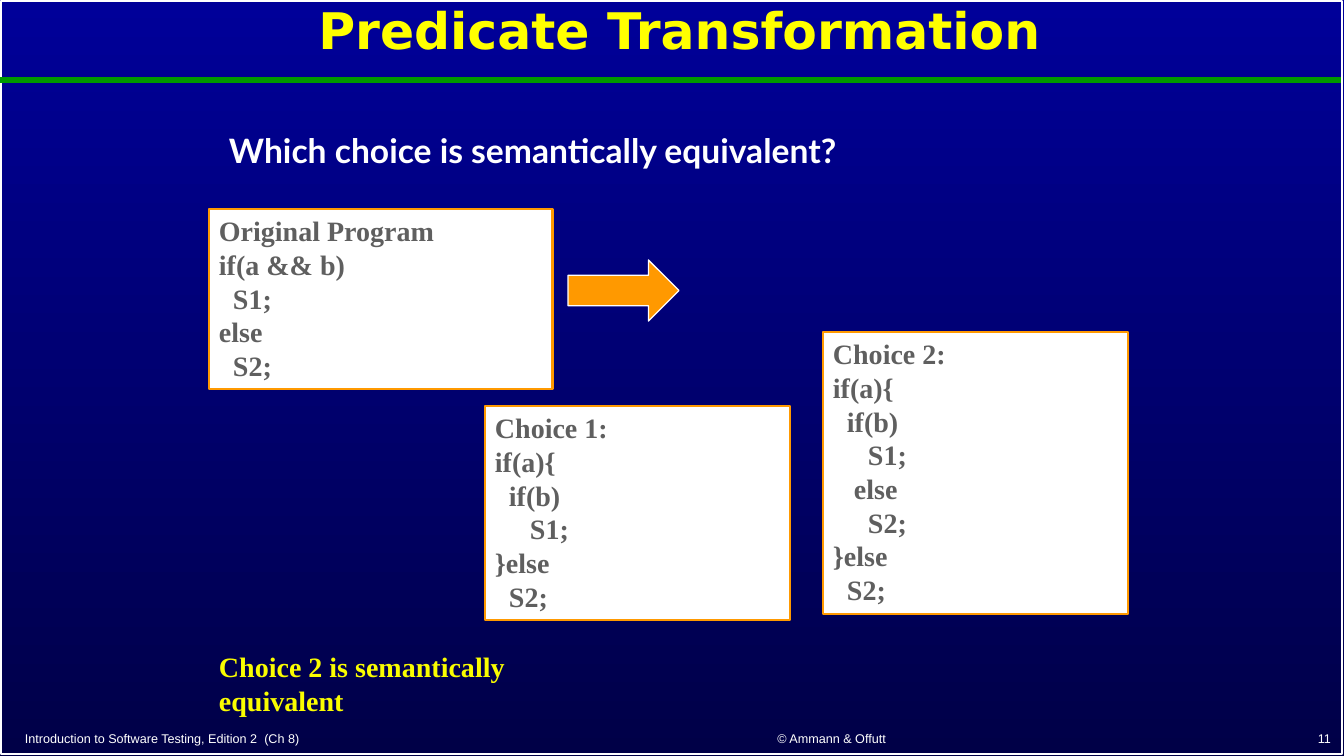
import pptx
import pptx.util
import pptx.dml.color
import pptx.enum.shapes
import pptx.enum.text
from dataclasses import dataclass
from lxml import etree

PX = 914400 / 100.8  # EMU per pixel
SHAPE = pptx.enum.shapes.MSO_SHAPE
ALIGN = pptx.enum.text.PP_ALIGN
ANCHOR = pptx.enum.text.MSO_ANCHOR


@dataclass(frozen=True)
class Theme:
    top: str = "000099"
    bottom: str = "000047"
    white: str = "FFFFFF"
    rule: str = "009900"
    title: str = "FFFF00"
    answer: str = "FAFD00"
    code: str = "5F5F5F"
    accent: str = "FF9900"
    title_font: str = "DejaVu Sans"
    question_font: str = "Lato"
    code_font: str = "Times New Roman"
    footer_font: str = "Arial"
    title_size: int = 36
    question_size: int = 24
    code_size: int = 20
    footer_size: int = 9


THEME = Theme()
CODE_SPACE = 7  # px of indent for each leading space of code
CODE_STYLE = dict(font=THEME.code_font, size=THEME.code_size, bold=True)

ORIGINAL_PROGRAM = """Original Program
if(a && b)
  S1;
else
  S2;"""
CHOICE_1 = """Choice 1:
if(a){
  if(b)
     S1;
}else
  S2;"""
CHOICE_2 = """Choice 2:
if(a){
  if(b)
     S1;
   else
     S2;
}else
  S2;"""


def emu(pixels):
    return pptx.util.Emu(round(pixels * PX))


def rgb(value):
    return pptx.dml.color.RGBColor.from_string(value)


def write(shape, text, *, font, size, color, bold=False, align=ALIGN.LEFT,
          anchor=ANCHOR.TOP, spacing=1.0, wrap=True):
    """Fill a shape with one paragraph per line, indenting by leading spaces."""
    frame = shape.text_frame
    frame.word_wrap = wrap
    frame.vertical_anchor = anchor
    frame.margin_left = frame.margin_right = emu(10)
    frame.margin_top = frame.margin_bottom = emu(5)
    for index, line in enumerate(text.split("\n")):
        paragraph = frame.add_paragraph() if index else frame.paragraphs[0]
        paragraph.alignment = align
        paragraph.line_spacing = spacing
        code = line.lstrip()
        depth = len(line) - len(code)
        if depth:
            properties = paragraph._p.get_or_add_pPr()
            properties.set("marL", str(emu(depth * CODE_SPACE)))
            properties.set("indent", "0")
        run = paragraph.add_run()
        run.text = code
        run.font.name = font
        run.font.size = pptx.util.Pt(size)
        run.font.bold = bold
        run.font.color.rgb = rgb(color)


def add_text(slide, box, text, **style):
    write(slide.shapes.add_textbox(*map(emu, box)), text, **style)


def add_box(slide, kind, box, *, fill, line, weight):
    shape = slide.shapes.add_shape(kind, *map(emu, box))
    shape.shadow.inherit = False
    if fill:
        shape.fill.solid()
        shape.fill.fore_color.rgb = rgb(fill)
    else:
        shape.fill.background()
    shape.line.color.rgb = rgb(line)
    shape.line.width = pptx.util.Pt(weight)
    return shape


def paint_background(slide):
    fill = slide.background.fill
    fill.gradient()
    fill.gradient_angle = 270
    for stop, color, position in zip(fill.gradient_stops,
                                     (THEME.top, THEME.bottom), (0, 1)):
        stop.color.rgb = rgb(color)
        stop.position = position


def add_header(slide, box):
    left, top, width, height = box
    add_box(slide, SHAPE.RECTANGLE, (left + 1, top + 1, width, 753),
            fill=None, line=THEME.white, weight=1)
    rule = slide.shapes.add_connector(
        pptx.enum.shapes.MSO_CONNECTOR.STRAIGHT,
        emu(left), emu(top + height), emu(left + width), emu(top + height))
    rule.line.color.rgb = rgb(THEME.rule)
    rule.line.width = pptx.util.Pt(4.5)
    etree.SubElement(rule._element.spPr, pptx.oxml.ns.qn("a:effectLst"))
    title = slide.shapes.title
    title.left, title.top, title.width, title.height = map(
        emu, (left + 226, top - 30, 907, 126))
    write(title, "Predicate Transformation", font=THEME.title_font,
          size=THEME.title_size, color=THEME.title, bold=True,
          align=ALIGN.CENTER, anchor=ANCHOR.MIDDLE, spacing=0.9)


def add_code(slide, box, text):
    shape = add_box(slide, SHAPE.RECTANGLE, box, fill=THEME.white,
                    line=THEME.accent, weight=2)
    write(shape, text, color=THEME.code, **CODE_STYLE)


def add_exercise(slide, box):
    left, top, width, height = box
    add_text(slide, (left + 10, top, width, 71),
             "Which choice is semantically equivalent?",
             font=THEME.question_font, size=THEME.question_size,
             color=THEME.white, bold=True, anchor=ANCHOR.BOTTOM, spacing=0.9)
    add_code(slide, (left + 276, top + 301, 305, 214), CHOICE_1)
    add_code(slide, (left, top + 104, 344, 180), ORIGINAL_PROGRAM)
    add_code(slide, (left + 614, top + 227, 305, 282), CHOICE_2)
    add_box(slide, SHAPE.RIGHT_ARROW, (left + 359, top + 155, 111, 61),
            fill=THEME.accent, line=THEME.white, weight=1)
    add_text(slide, (left, top + height - 77, 420, 77),
             "Choice 2 is semantically equivalent",
             color=THEME.answer, **CODE_STYLE)


def add_footer(slide, box):
    left, top, width, height = box
    parts = (
        (15, 574, "Introduction to Software Testing, Edition 2  (Ch 8)", ALIGN.LEFT),
        (619, 425, "© Ammann & Offutt", ALIGN.CENTER),
        (1061, 280, "11", ALIGN.RIGHT),
    )
    for offset, part_width, text, align in parts:
        add_text(slide, (left + offset, top, part_width, height), text,
                 font=THEME.footer_font, size=THEME.footer_size,
                 color=THEME.white, align=align, anchor=ANCHOR.BOTTOM)


def main():
    presentation = pptx.Presentation()
    presentation.slide_width = emu(1344)
    presentation.slide_height = emu(756)
    slide = presentation.slides.add_slide(presentation.slide_layouts[5])
    paint_background(slide)
    add_header(slide, (0, 0, 1341, 80))
    add_exercise(slide, (209, 105, 914, 617))
    add_footer(slide, (0, 725, 1344, 26))
    presentation.save("out.pptx")


if __name__ == "__main__":
    main()
